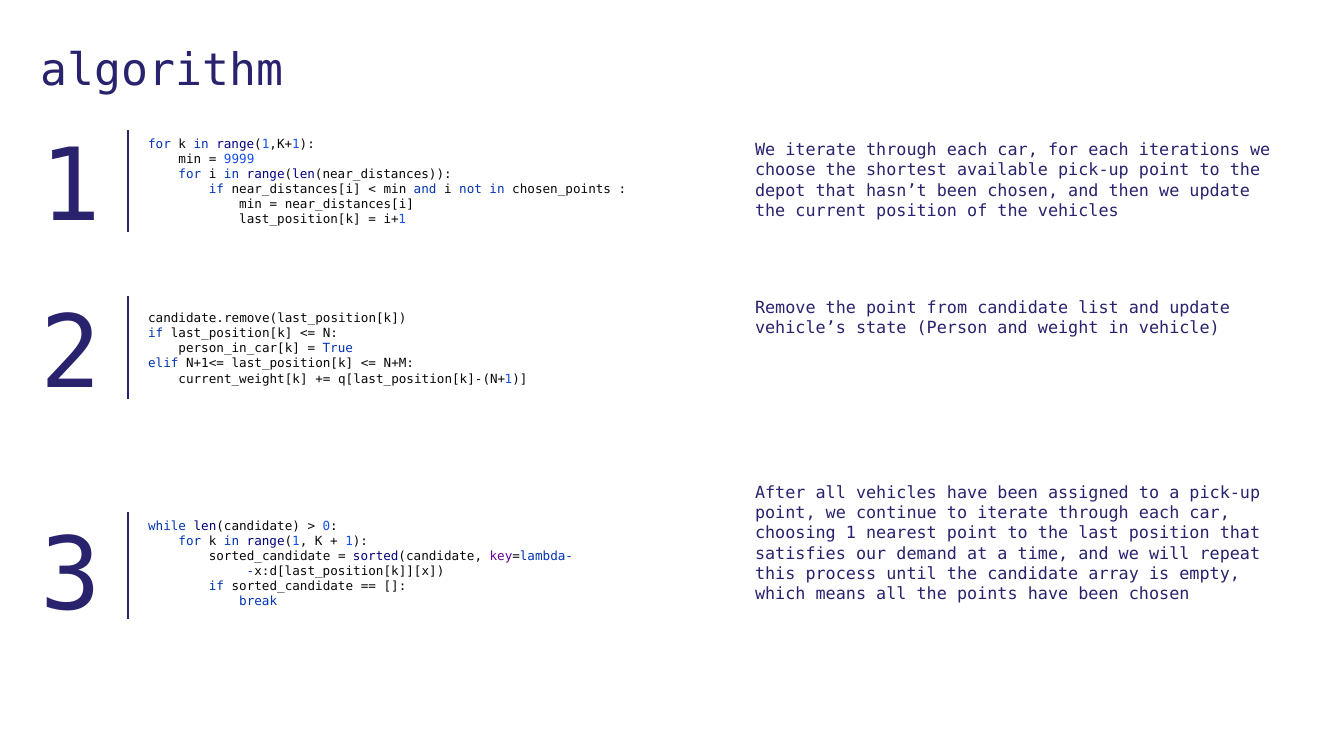
from dataclasses import dataclass
from itertools import groupby

from lxml import etree
from pptx import Presentation
from pptx.dml.color import RGBColor
from pptx.enum.shapes import MSO_CONNECTOR
from pptx.enum.text import MSO_ANCHOR
from pptx.oxml.ns import qn
from pptx.util import Inches, Pt

STRAIGHT = MSO_CONNECTOR.STRAIGHT
TOP, MIDDLE = MSO_ANCHOR.TOP, MSO_ANCHOR.MIDDLE


@dataclass
class Theme:
    font: str = "DejaVu Sans Mono"
    navy: str = "29236E"
    white: str = "FFFFFF"
    plain: str = "080808"
    keyword: str = "0033B3"
    builtin: str = "000080"
    number: str = "1750EB"
    option: str = "660099"
    title: int = 32
    digit: int = 72
    body: int = 12
    code: int = 9


theme = Theme()
COLORS = {"key": theme.option}
COLORS.update(dict.fromkeys("for in if and not elif while True lambda break -".split(), theme.keyword))
COLORS.update(dict.fromkeys("range len sorted".split(), theme.builtin))
INDENT = 0.0753  # width of one code character in inches

# Each step: rule top and bottom, digit top, code box, note top and height, code, note
STEPS = [
    (1.29, 2.3, 1.14, (1.29, 4.95, 1.01), (1.33, 0.91), """\
for k in range(1,K+1):
    min = 9999
    for i in range(len(near_distances)):
        if near_distances[i] < min and i not in chosen_points :
            min = near_distances[i]
            last_position[k] = i+1""",
     "We iterate through each car, for each iterations we choose the shortest "
     "available pick-up point to the depot that hasn’t been chosen, and then we "
     "update the current position of the vehicles"),
    (2.94, 3.96, 2.79, (3.02, 5.59, 0.86), (2.89, 0.5), """\
candidate.remove(last_position[k])
if last_position[k] <= N:
    person_in_car[k] = True
elif N+1<= last_position[k] <= N+M:
    current_weight[k] += q[last_position[k]-(N+1)]""",
     "Remove the point from candidate list and update vehicle’s state "
     "(Person and weight in vehicle)"),
    (5.08, 6.14, 5.0, (5.08, 6.38, 1.01), (4.73, 1.31), """\
while len(candidate) > 0:
    for k in range(1, K + 1):
        sorted_candidate = sorted(candidate, key=lambda-
             -x:d[last_position[k]][x])
        if sorted_candidate == []:
            break""",
     "After all vehicles have been assigned to a pick-up point, we continue to "
     "iterate through each car, choosing 1 nearest point to the last position that "
     "satisfies our demand at a time, and we will repeat this process until the "
     "candidate array is empty, which means all the points have been chosen"),
]

deck = Presentation()
deck.slide_width, deck.slide_height = Inches(13.33), Inches(7.5)
slide = deck.slides.add_slide(deck.slide_layouts[6])


def add_text(text, left, top, width, height, size, anchor=TOP):
    box = slide.shapes.add_textbox(Inches(left), Inches(top), Inches(width), Inches(height))
    frame = box.text_frame
    frame.word_wrap = True
    frame.vertical_anchor = anchor
    frame.text = text
    for para in frame.paragraphs:
        para.font.name = theme.font
        para.font.size = Pt(size)
        para.font.color.rgb = RGBColor.from_string(theme.navy)
    return box


def add_code(code, top, width, height):
    lines = code.split("\n")
    bare = "\n".join(line.strip() for line in lines)
    box = add_text(bare, 1.37, top, width, height, theme.code, MIDDLE)
    for line, para in zip(lines, box.text_frame.paragraphs):
        text = line.strip()
        depth = len(line) - len(text)
        props = para._p.get_or_add_pPr()
        props.set("marL", str(Inches(depth * INDENT)))
        props.set("indent", "0")
        para.clear()
        # Colour each word by its role; the elif bound stays plain
        for _, chars in groupby(text, lambda c: c.isalnum() or c == "_"):
            word = "".join(chars)
            color = COLORS.get(word, theme.plain)
            if word.isdigit() and not text.startswith("elif"):
                color = theme.number
            run = para.add_run()
            run.text = word
            run.font.color.rgb = RGBColor.from_string(color)
    return box


# Title
add_text("algorithm", 0.3, 0.35, 8.42, 0.64, theme.title)

# Steps: digit, rule, code and note
for index, (start, end, top, area, span, code, note) in enumerate(STEPS, 1):
    box = add_code(code, *area)
    if index == 1:
        box.fill.solid()
        box.fill.fore_color.rgb = RGBColor.from_string(theme.white)
    add_text(str(index), 0.3, top, 0.87, 1.31, theme.digit)
    rule = slide.shapes.add_connector(STRAIGHT, Inches(1.27), Inches(start), Inches(1.27), Inches(end))
    rule.line.color.rgb = RGBColor.from_string(theme.navy)
    rule.line.width = Pt(2)
    etree.SubElement(rule._element.spPr, qn("a:effectLst"))
    add_text(note, 7.39, span[0], 5.33, span[1], theme.body)

deck.save("out.pptx")
